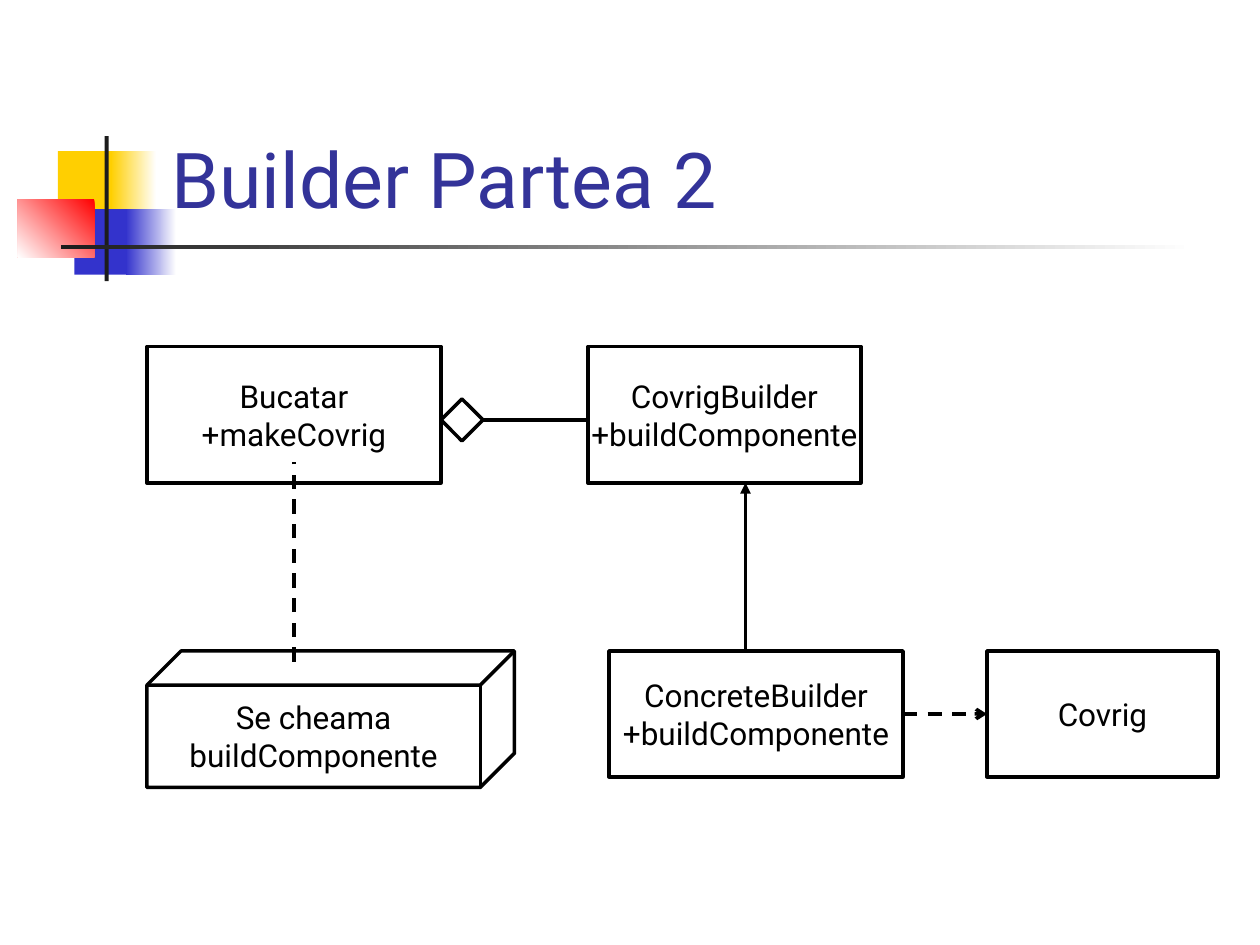
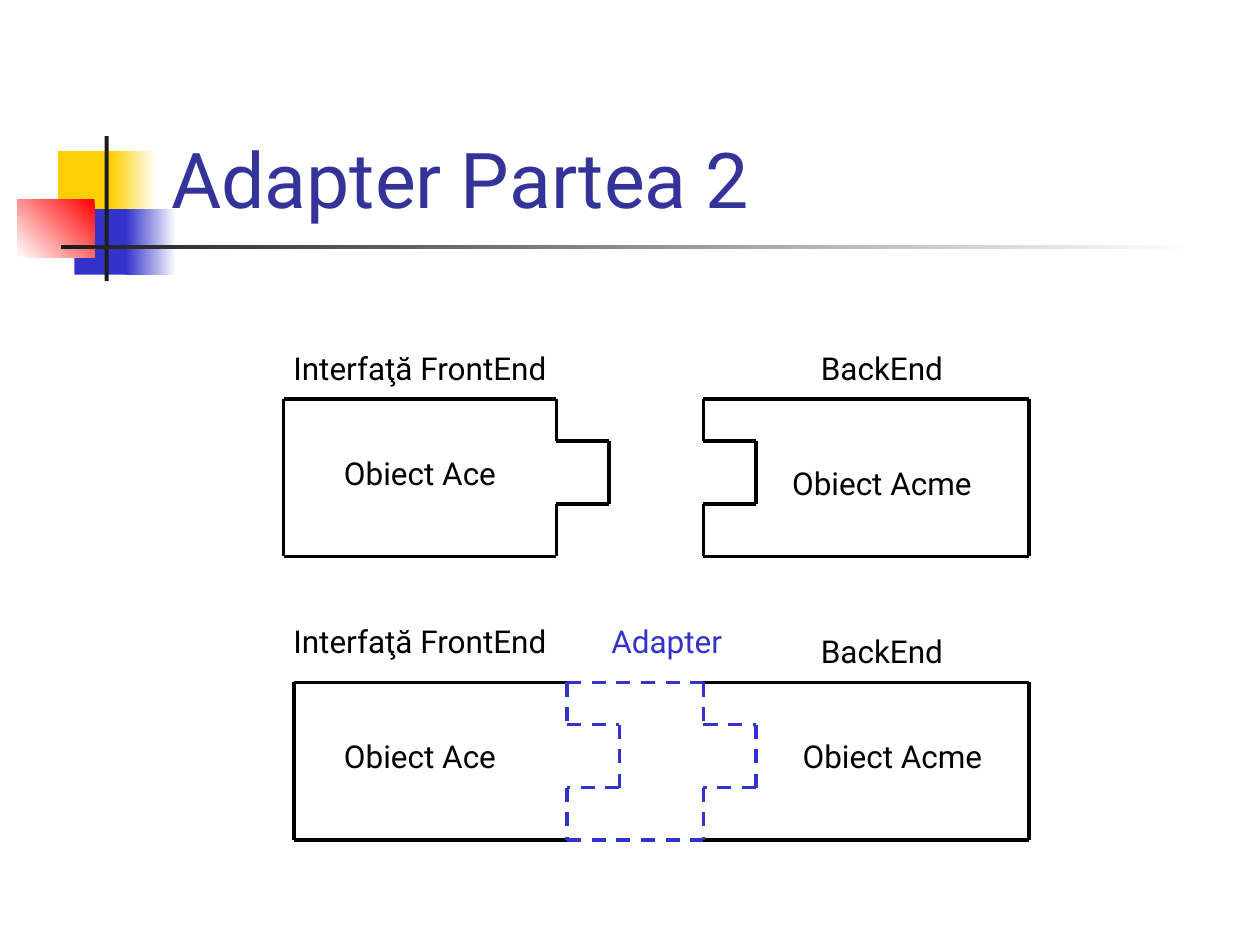
from itertools import pairwise

from lxml import etree
from pptx import Presentation
from pptx.dml.color import RGBColor
from pptx.enum import dml, shapes, text
from pptx.oxml import ns
from pptx.util import Pt

BLACK = RGBColor(0x00, 0x00, 0x00)
WHITE = RGBColor(0xFF, 0xFF, 0xFF)
YELLOW = RGBColor(0xFF, 0xCF, 0x01)
BLUE = RGBColor(0x33, 0x33, 0xCC)
RED = RGBColor(0xFF, 0x00, 0x00)
CHARCOAL = RGBColor(0x1C, 0x1C, 0x1C)
TITLE_BLUE = RGBColor(0x33, 0x33, 0x99)

FONT = "Roboto"
LINE_WIDTH = 2
TOP, LEFT, BOTTOM, RIGHT = range(4)
SHAPE = shapes.MSO_SHAPE

# Header ornament: left, top, width, height, colours, clockwise angle
ORNAMENT = [
    (33.1, 86.4, 34.6, 37.4, [YELLOW], 0),
    (63.4, 86.4, 25.9, 37.4, [WHITE, YELLOW], 180),
    (42.5, 119.5, 33.1, 37.4, [BLUE], 0),
    (72, 119.5, 28.8, 37.4, [WHITE, BLUE], 180),
    (10.1, 113.8, 43.9, 33.1, [RED, WHITE], 135),
    (59.8, 77.8, 2.3, 82.8, [CHARCOAL], 0),
    (34.6, 140.2, 648, 2.3, [WHITE, CHARCOAL], 180),
]


def write(frame, content, size=18, color=BLACK, align=text.PP_ALIGN.CENTER,
          anchor=text.MSO_ANCHOR.MIDDLE, wrap=False):
    """Fill a text frame, one paragraph for each line of content."""
    frame.auto_size = text.MSO_AUTO_SIZE.NONE
    frame.word_wrap = wrap
    frame.vertical_anchor = anchor
    frame.margin_left = frame.margin_right = Pt(7.2)
    frame.margin_top = frame.margin_bottom = Pt(3.6)
    frame.text = content
    for para in frame.paragraphs:
        para.alignment = align
        para.font.name = FONT
        para.font.size = Pt(size)
        para.font.color.rgb = color


class Deck:
    """Holds the presentation, its style and the current page."""

    def __init__(self):
        self.deck = Presentation()
        self.deck.slide_width, self.deck.slide_height = Pt(720), Pt(540)
        self.page = None

    def add_page(self, title):
        self.page = self.deck.slides.add_slide(self.deck.slide_layouts[5])
        for left, top, width, height, colors, angle in ORNAMENT:
            self.band(left, top, width, height, colors, angle)
        box = self.page.shapes.title
        box.left, box.top, box.width, box.height = Pt(90.7), Pt(16.6), Pt(613.4), Pt(115.2)
        write(box.text_frame, title, size=44, color=TITLE_BLUE,
              align=text.PP_ALIGN.LEFT, anchor=text.MSO_ANCHOR.BOTTOM, wrap=True)
        box.element.getparent().append(box.element)  # in front of the ornament

    def shape(self, kind, left, top, width, height):
        shape = self.page.shapes.add_shape(kind, Pt(left), Pt(top), Pt(width), Pt(height))
        shape.shadow.inherit = False
        return shape

    def band(self, left, top, width, height, colors, angle):
        band = self.shape(SHAPE.RECTANGLE, left, top, width, height)
        band.line.fill.background()
        if len(colors) == 1:
            band.fill.solid()
            band.fill.fore_color.rgb = colors[0]
            return
        band.fill.gradient()
        band.fill.gradient_angle = (360 - angle) % 360
        for stop, color in zip(band.fill.gradient_stops, colors):
            stop.color.rgb = color

    def node(self, left, top, width, height, content="", kind=SHAPE.RECTANGLE):
        node = self.shape(kind, left, top, width, height)
        node.fill.background()
        node.line.color.rgb = BLACK
        node.line.width = Pt(LINE_WIDTH)
        if content:
            write(node.text_frame, content)
        return node

    def label(self, left, top, width, height, content, color=BLACK):
        box = self.page.shapes.add_textbox(Pt(left), Pt(top), Pt(width), Pt(height))
        write(box.text_frame, content, color=color)

    def line(self, start, end, color=BLACK, dashed=False, arrow=None):
        line = self.page.shapes.add_connector(
            shapes.MSO_CONNECTOR.STRAIGHT, *map(Pt, (*start, *end)))
        line.line.color.rgb = color
        line.line.width = Pt(LINE_WIDTH)
        if dashed:
            line.line.dash_style = dml.MSO_LINE.DASH
        outline = line.get_or_add_ln()
        if arrow:
            etree.SubElement(outline, ns.qn("a:tailEnd"), type=arrow)
        etree.SubElement(outline.getparent(), ns.qn("a:effectLst"))
        return line

    def trace(self, points, **style):
        for start, end in pairwise(points):
            self.line(start, end, **style)


def tooth(x, top):
    """Jigsaw edge running down from (x, top)."""
    steps = [(0, 0), (0, 24), (30, 24), (30, 60), (0, 60), (0, 90)]
    return [(x + across, top + down) for across, down in steps]


def body(edge, side, top):
    """Three plain sides of a block, from its toothed edge out to a side."""
    return [(edge, top), (side, top), (side, top + 90), (edge, top + 90)]


def builder_page(deck):
    deck.add_page("Builder Partea 2")

    # Classes and the call note
    builder = deck.node(336, 198, 156, 78, "CovrigBuilder\n+buildComponente")
    deck.node(84, 198, 168, 78, "Bucatar\n+makeCovrig")
    diamond = deck.node(252, 228, 24, 24, kind=SHAPE.DIAMOND)
    deck.node(84, 372, 210, 78, "Se cheama\nbuildComponente", kind=SHAPE.CUBE)
    concrete = deck.node(348, 372, 168, 72, "ConcreteBuilder\n+buildComponente")
    product = deck.node(564, 372, 132, 72, "Covrig")

    # Relations
    aggregation = deck.line((276, 240), (336, 240))
    aggregation.begin_connect(diamond, RIGHT)
    deck.line((168, 378), (168, 264), dashed=True)
    deck.line((426, 372), (426, 276), arrow="triangle")
    creation = deck.line((516, 408), (564, 408), dashed=True, arrow="arrow")
    creation.begin_connect(concrete, RIGHT)
    creation.end_connect(product, LEFT)


def adapter_page(deck):
    deck.add_page("Adapter Partea 2")
    back_edge, back_side = 402, 588

    # Separate blocks above, joined blocks below
    rows = [(228, 162, 318, {}), (390, 168, 324, {"color": BLUE, "dashed": True})]
    for top, front_side, front_edge, edge_style in rows:
        deck.trace(body(front_edge, front_side, top))
        deck.trace(body(back_edge, back_side, top))
        for edge in (front_edge, back_edge):
            deck.trace(tooth(edge, top), **edge_style)
        deck.label(180, top + 18, 120, 48, "Obiect Ace")

    # Adapter between the joined blocks
    for y in (top, top + 90):
        deck.line((front_edge, y), (back_edge, y), **edge_style)

    # Captions
    for y in (198, 354):
        deck.label(162, y, 156, 24, "Interfaţă FrontEnd")
    for y in (198, 360):
        deck.label(426, y, 156, 24, "BackEnd")
    for x, y in ((450, 246), (456, 402)):
        deck.label(x, y, 108, 60, "Obiect Acme")
    deck.label(336, 354, 90, 24, "Adapter", color=BLUE)


def main():
    deck = Deck()
    builder_page(deck)
    adapter_page(deck)
    deck.deck.save("out.pptx")


if __name__ == "__main__":
    main()
